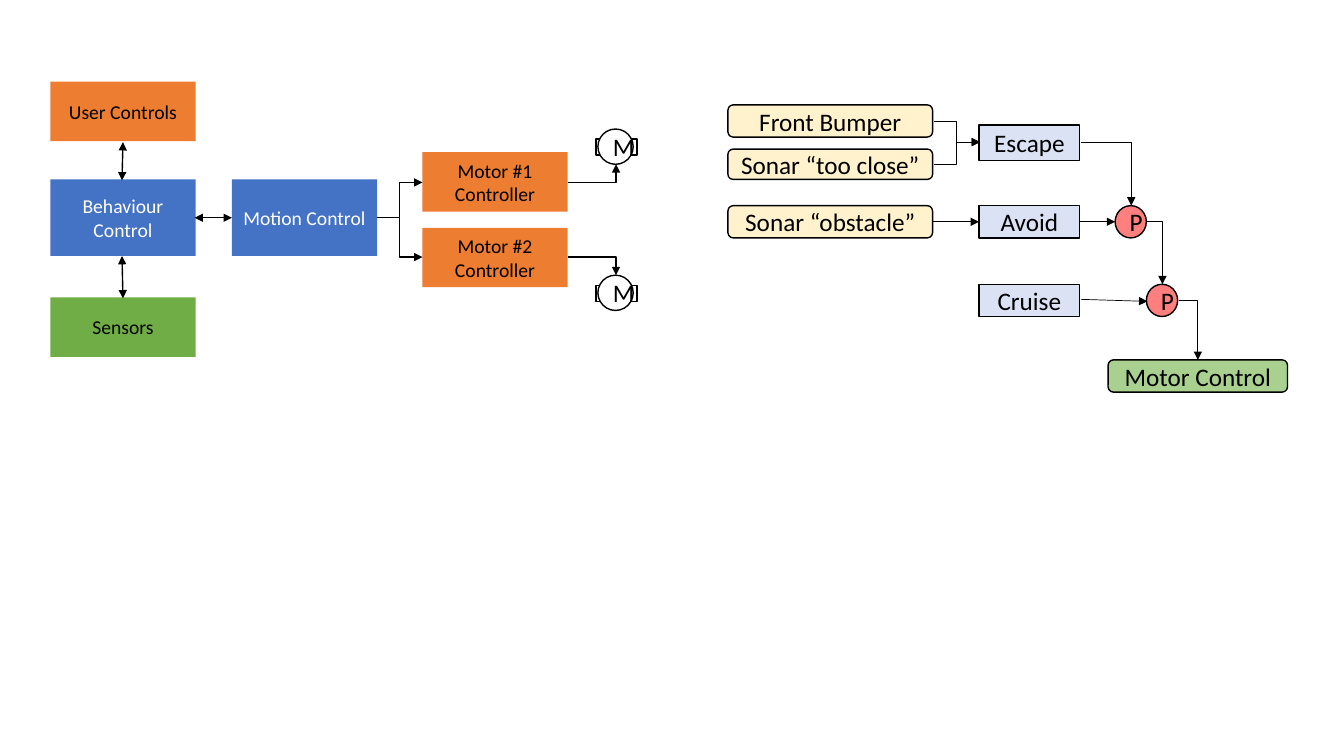
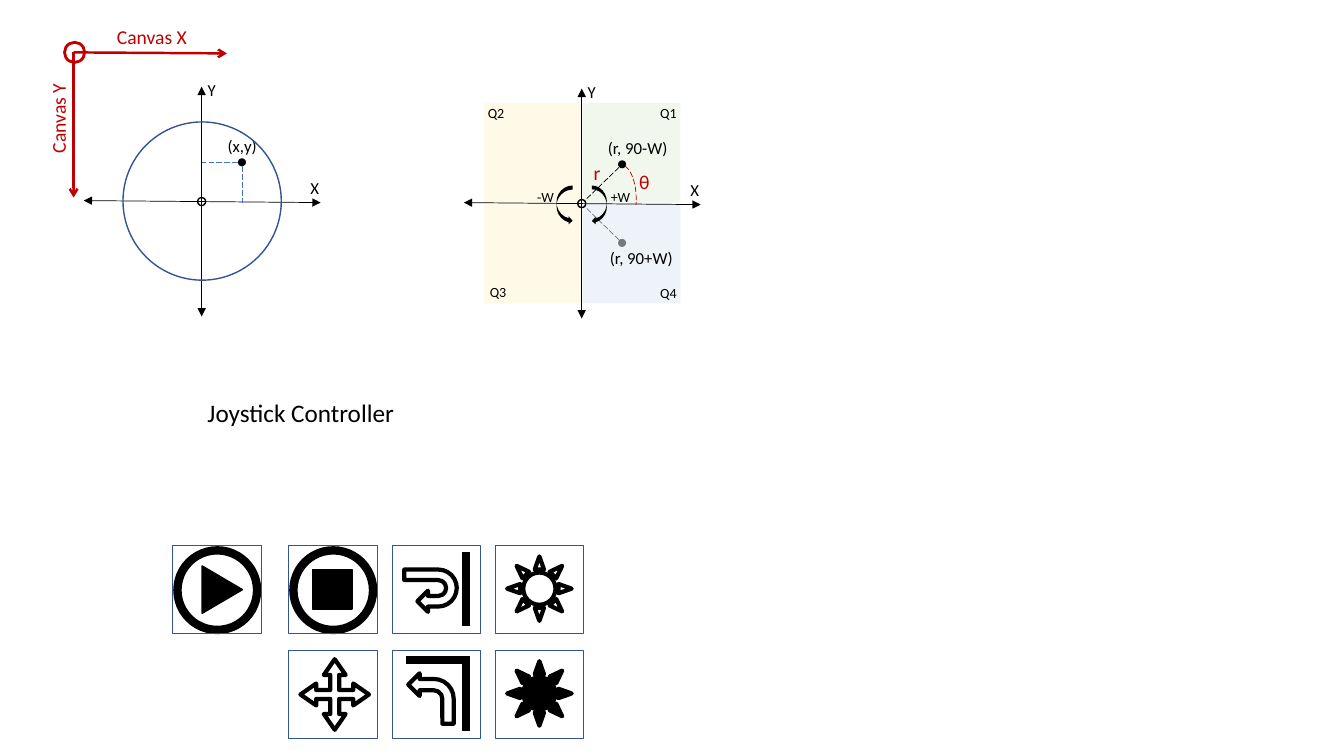
from lxml import etree
from pptx import Presentation
from pptx.dml.color import RGBColor
from pptx.enum.dml import MSO_LINE
from pptx.enum.shapes import MSO_CONNECTOR, MSO_SHAPE
from pptx.enum.text import MSO_ANCHOR, PP_ALIGN
from pptx.oxml.ns import qn
from pptx.util import Inches, Pt

RECT, ROUNDED, OVAL = MSO_SHAPE.RECTANGLE, MSO_SHAPE.ROUNDED_RECTANGLE, MSO_SHAPE.OVAL
ARC, SUN, TRIANGLE = MSO_SHAPE.ARC, MSO_SHAPE.SUN, MSO_SHAPE.ISOSCELES_TRIANGLE
CURVED_RIGHT, CURVED_LEFT = MSO_SHAPE.CURVED_RIGHT_ARROW, MSO_SHAPE.CURVED_LEFT_ARROW
BENT, U_TURN, QUAD = MSO_SHAPE.BENT_ARROW, MSO_SHAPE.U_TURN_ARROW, MSO_SHAPE.QUAD_ARROW
STRAIGHT, ELBOW = MSO_CONNECTOR.STRAIGHT, MSO_CONNECTOR.ELBOW
LEFT, CENTER = PP_ALIGN.LEFT, PP_ALIGN.CENTER
TOP, MIDDLE = MSO_ANCHOR.TOP, MSO_ANCHOR.MIDDLE
LONG_DASH = MSO_LINE.LONG_DASH

FONT = "Calibri"
COLORS = {
    "black": "000000", "white": "FFFFFF", "blue": "4472C4", "navy": "325591",
    "orange": "ED7D31", "green": "70AD47", "gold": "FFC000", "cream": "FFF2CC",
    "ice": "DAE2F3", "red": "FF0000", "leaf": "A9D08E", "crimson": "C00000",
}


def rgb(name):
    """Return the palette colour with this name."""
    return RGBColor.from_string(COLORS[name])


def set_alpha(element, percent):
    """Make every plain colour in the element partly transparent."""
    for color in element.iter(qn("a:srgbClr")):
        etree.SubElement(color, qn("a:alpha")).set("val", str(percent * 1000))


def write_text(shape, text, size, color, align, anchor, wrap=True):
    """Put one formatted paragraph into a shape or text box."""
    frame = shape.text_frame
    frame.text = text
    frame.word_wrap = wrap
    frame.vertical_anchor = anchor
    para = frame.paragraphs[0]
    para.alignment = align
    font = para.runs[0].font
    font.name, font.size = FONT, Pt(size)
    font.color.rgb = rgb(color)


def add_shape(page, kind, at, fill=None, line=None, width=1, alpha=None, dash=None,
              rotation=0, adjust=()):
    """Add a preset shape with its own fill and outline."""
    shape = page.shapes.add_shape(kind, *map(Inches, at))
    shape.shadow.inherit = False
    shape.rotation = rotation
    for index, value in enumerate(adjust):
        shape.adjustments[index] = value
    if fill:
        shape.fill.solid()
        shape.fill.fore_color.rgb = rgb(fill)
        if alpha:
            set_alpha(shape.fill._xPr.find(qn("a:solidFill")), alpha)
    else:
        shape.fill.background()
    if line:
        shape.line.color.rgb = rgb(line)
        shape.line.width = Pt(width)
        if dash:
            shape.line.dash_style = dash
    else:
        shape.line.fill.background()
    return shape


def add_box(page, kind, at, text, fill, line="black", size=18, color="black",
            align=CENTER, alpha=None):
    """Add a diagram box with a caption."""
    box = add_shape(page, kind, at, fill, line, alpha=alpha)
    write_text(box, text, size, color, align, MIDDLE)


def add_label(page, at, text, size, color="black", rotation=0):
    """Add a free-standing label."""
    label = page.shapes.add_textbox(*map(Inches, at))
    label.rotation = rotation
    write_text(label, text, size, color, LEFT, TOP, wrap=False)


def add_line(page, start, end, width=0.5, color="black", head=None, tail=None,
             dash=None, alpha=None, route=None):
    """Add a straight line, or an elbow when a route preset is named."""
    line = page.shapes.add_connector(ELBOW if route else STRAIGHT,
                                     *map(Inches, (*start, *end)))
    line.line.color.rgb = rgb(color)
    line.line.width = Pt(width)
    if dash:
        line.line.dash_style = dash
    properties = line._element.spPr
    outline = properties.find(qn("a:ln"))
    if alpha:
        set_alpha(outline, alpha)
    for tag, arrow in (("a:headEnd", head), ("a:tailEnd", tail)):
        if arrow:
            etree.SubElement(outline, qn(tag)).set("type", arrow)
    etree.SubElement(properties, qn("a:effectLst"))
    if route:
        properties.find(qn("a:prstGeom")).set("prst", route)


def add_arrow(page, start, end, width=0.5, route=None, both=False):
    """Add a black arrow, with one head or two."""
    add_line(page, start, end, width, head="triangle" if both else None,
             tail="triangle", route=route)


def build_control_flow(page):
    """Draw the chain from user controls to the motors."""
    for left, top, height, text, fill, color in (
        (0.5, 0.81, 0.59, "User Controls", "orange", "black"),
        (0.5, 1.78, 0.76, "Behaviour Control", "blue", "white"),
        (0.5, 2.95, 0.59, "Sensors", "green", "black"),
        (2.3, 1.78, 0.76, "Motion Control", "blue", "white"),
        (4.19, 1.51, 0.59, "Motor #1 Controller", "orange", "black"),
        (4.19, 2.26, 0.59, "Motor #2 Controller", "orange", "black"),
    ):
        add_box(page, RECT, (left, top, 1.44, height), text, fill, None, 14, color)
    for start, end in (((1.93, 2.16), (2.3, 2.16)), ((1.21, 2.54), (1.22, 2.96)),
                       ((1.21, 1.79), (1.22, 1.41))):
        add_arrow(page, start, end, 1, both=True)
    for middle, motor_edge, motor_top in ((1.81, 1.63, 1.28), (2.55, 2.73, 2.73)):
        add_arrow(page, (3.74, 2.16), (4.19, middle), 1, "bentConnector3")
        add_arrow(page, (5.63, middle), (6.11, motor_edge), 1, "bentConnector2")
        add_shape(page, RECT, (5.91, motor_top + 0.1, 0.41, 0.16), "white", "black")
        add_box(page, OVAL, (5.93, motor_top, 0.35, 0.35), "M", "white", align=LEFT)


def build_priorities(page):
    """Draw the sensors, behaviours and priority nodes."""
    for top, height, text in ((1.04, 0.32, "Front Bumper"),
                              (1.48, 0.3, "Sonar “too close”"),
                              (2.04, 0.32, "Sonar “obstacle”")):
        add_box(page, ROUNDED, (7.22, top, 2.03, height), text, "cream")
    for top, height, text in ((1.24, 0.35, "Escape"), (2.04, 0.32, "Avoid"),
                              (2.82, 0.32, "Cruise")):
        add_box(page, RECT, (9.71, top, 1, height), text, "ice")
    for left, top in ((11.06, 2.04), (11.37, 2.82)):
        add_box(page, OVAL, (left, top, 0.31, 0.32), "P", "red", alpha=50)
    add_box(page, ROUNDED, (10.99, 3.57, 1.78, 0.32), "Motor Control", "leaf")
    for start, end in (((9.25, 2.2), (9.71, 2.2)), ((10.71, 2.2), (11.06, 2.2)),
                       ((10.72, 2.97), (11.38, 2.99))):
        add_arrow(page, start, end)
    for start, end in (((10.72, 1.41), (11.22, 2.04)), ((11.37, 2.2), (11.53, 2.82)),
                       ((11.69, 2.98), (11.88, 3.57))):
        add_arrow(page, start, end, route="bentConnector2")
    for sensor_middle in (1.2, 1.63):
        add_arrow(page, (9.26, sensor_middle), (9.72, 1.41), route="bentConnector3")


def add_axes(page, x, y):
    """Draw a pair of axes, their origin and the sample point."""
    add_line(page, (x - 1.17, y - 0.01), (x + 1.18, y + 0.01),
             head="triangle", tail="triangle")
    add_line(page, (x, y - 1.14), (x, y + 1.14), head="triangle", tail="triangle")
    add_label(page, (x + 0.98, y - 0.29, 0.29, 0.3), "X", 12)
    add_label(page, (x - 0.04, y - 1.26, 0.28, 0.3), "Y", 12)
    add_shape(page, OVAL, (x - 0.04, y - 0.04, 0.08, 0.08), None, "black")
    add_shape(page, OVAL, (x + 0.36, y - 0.43, 0.08, 0.08), "black")


def build_canvas_plot(page):
    """Draw the joystick circle inside the canvas axes."""
    add_axes(page, 2, 2)
    add_line(page, (2.4, 1.65), (2.4, 2.02), color="blue", dash=LONG_DASH)
    add_line(page, (2.36, 1.61), (2, 1.61), color="blue", dash=LONG_DASH)
    add_label(page, (2.16, 1.3, 0.53, 0.3), "(x,y)", 12)
    add_shape(page, OVAL, (1.22, 1.21, 1.57, 1.57), None, "navy")
    for end in ((2.25, 0.53), (0.73, 1.96)):
        add_line(page, (0.73, 0.52), end, 1.75, "crimson", tail="arrow")
    add_shape(page, OVAL, (0.64, 0.42, 0.2, 0.2), None, "crimson", 2)
    add_label(page, (1.06, 0.2, 0.91, 0.34), "Canvas X", 14, "crimson")
    add_label(page, (0.13, 1, 0.9, 0.34), "Canvas Y", 14, "crimson", 270)


def build_polar_plot(page):
    """Draw the four quadrants with the polar reading."""
    for left, top, fill in ((5.78, 2.02, "blue"), (5.78, 1.02, "green"),
                            (4.8, 1.02, "gold"), (4.8, 2.02, "gold")):
        add_shape(page, RECT, (left, top, 0.97, 0.99), fill, alpha=9)
    add_axes(page, 5.77, 2.02)
    add_line(page, (6.14, 1.66), (5.8, 1.99), dash=LONG_DASH)
    add_line(page, (6.14, 2.38), (5.8, 2.05), dash=LONG_DASH, alpha=50)
    add_shape(page, OVAL, (6.13, 2.37, 0.08, 0.08), "black", alpha=50)
    add_shape(page, CURVED_RIGHT, (5.52, 1.84, 0.16, 0.39), "black")
    add_shape(page, CURVED_LEFT, (5.87, 1.84, 0.15, 0.39), "black")
    add_shape(page, ARC, (5.99, 1.63, 0.32, 0.69), None, "crimson", 0.5,
              dash=LONG_DASH, adjust=(166.92, 12.12))
    add_label(page, (5.93, 1.32, 0.83, 0.3), "(r, 90-W)", 12)
    add_label(page, (5.95, 2.41, 0.97, 0.3), "(r, 90+W)", 12)
    for left, top, text in ((5.96, 1.82, "+W"), (5.23, 1.82, "-W"), (6.45, 0.99, "Q1"),
                            (4.74, 0.99, "Q2"), (4.76, 2.76, "Q3"), (6.45, 2.77, "Q4")):
        add_label(page, (left, top, 0.4 if text == "+W" else 0.37, 0.27), text, 10)
    add_label(page, (5.79, 1.55, 0.27, 0.34), "r", 14, "crimson")
    add_label(page, (6.24, 1.64, 0.31, 0.34), "θ", 14, "crimson")


def build_icons(page):
    """Draw the two rows of framed button icons."""
    columns, rows = (1.71, 2.86, 3.89, 4.91), (5.41, 6.45)
    for left in columns[:2]:
        add_shape(page, OVAL, (left + 0.05, rows[0] + 0.05, 0.79, 0.79), None, "black", 6)
    add_shape(page, TRIANGLE, (1.97, 5.65, 0.47, 0.4), "black", "black", rotation=90)
    add_shape(page, RECT, (3.1, 5.65, 0.39, 0.39), "black", "black")
    for top, fill in zip(rows, (None, "black")):
        add_shape(page, SUN, (columns[3] + 0.12, top + 0.11, 0.64, 0.64), fill, "black", 3)
        add_line(page, (4.62, top + 0.07), (4.62, top + 0.8), 6)
    add_line(page, (4.66, 6.55), (4.03, 6.55), 6)
    add_shape(page, U_TURN, (4.06, 5.6, 0.42, 0.52), None, "black", 3, rotation=90)
    turn = add_shape(page, BENT, (4.05, 6.68, 0.45, 0.5), None, "black", 3)
    turn._element.spPr.find(qn("a:xfrm")).set("flipH", "1")
    add_shape(page, QUAD, (2.98, 6.54, 0.68, 0.7), None, "black", 3,
              adjust=(0.13, 0.16, 0.23))
    for top, used in zip(rows, (columns, columns[1:])):
        for left in used:
            add_shape(page, RECT, (left, top, 0.88, 0.88), None, "navy", 0)


def main():
    """Build both slides and save the deck."""
    deck = Presentation()
    deck.slide_width, deck.slide_height = Inches(13.33), Inches(7.5)
    blank = deck.slide_layouts[6]
    flow_page = deck.slides.add_slide(blank)
    build_control_flow(flow_page)
    build_priorities(flow_page)
    joystick_page = deck.slides.add_slide(blank)
    build_polar_plot(joystick_page)
    build_canvas_plot(joystick_page)
    add_label(joystick_page, (1.96, 3.89, 2.07, 0.4), "Joystick Controller", 18)
    build_icons(joystick_page)
    deck.save("out.pptx")


if __name__ == "__main__":
    main()
